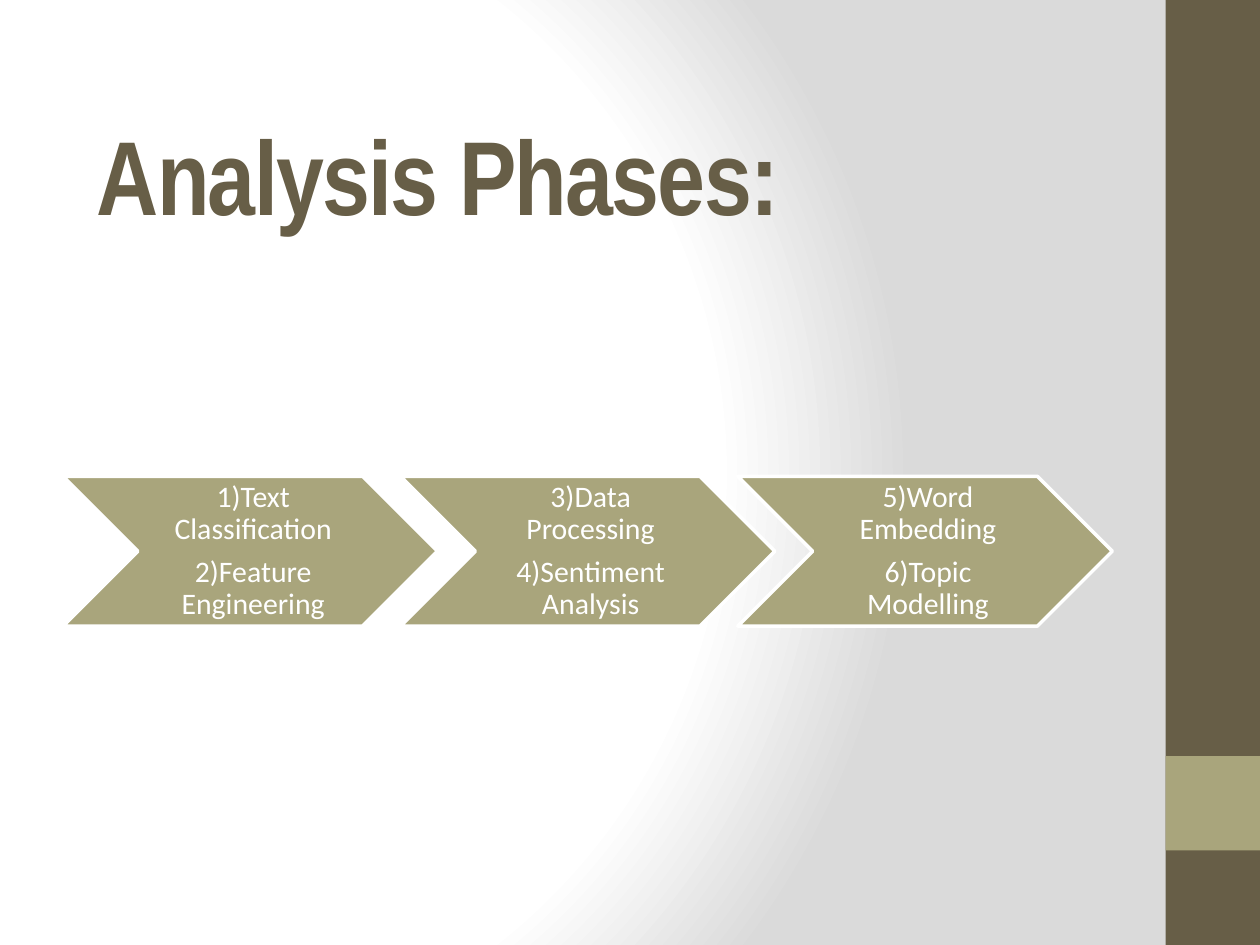
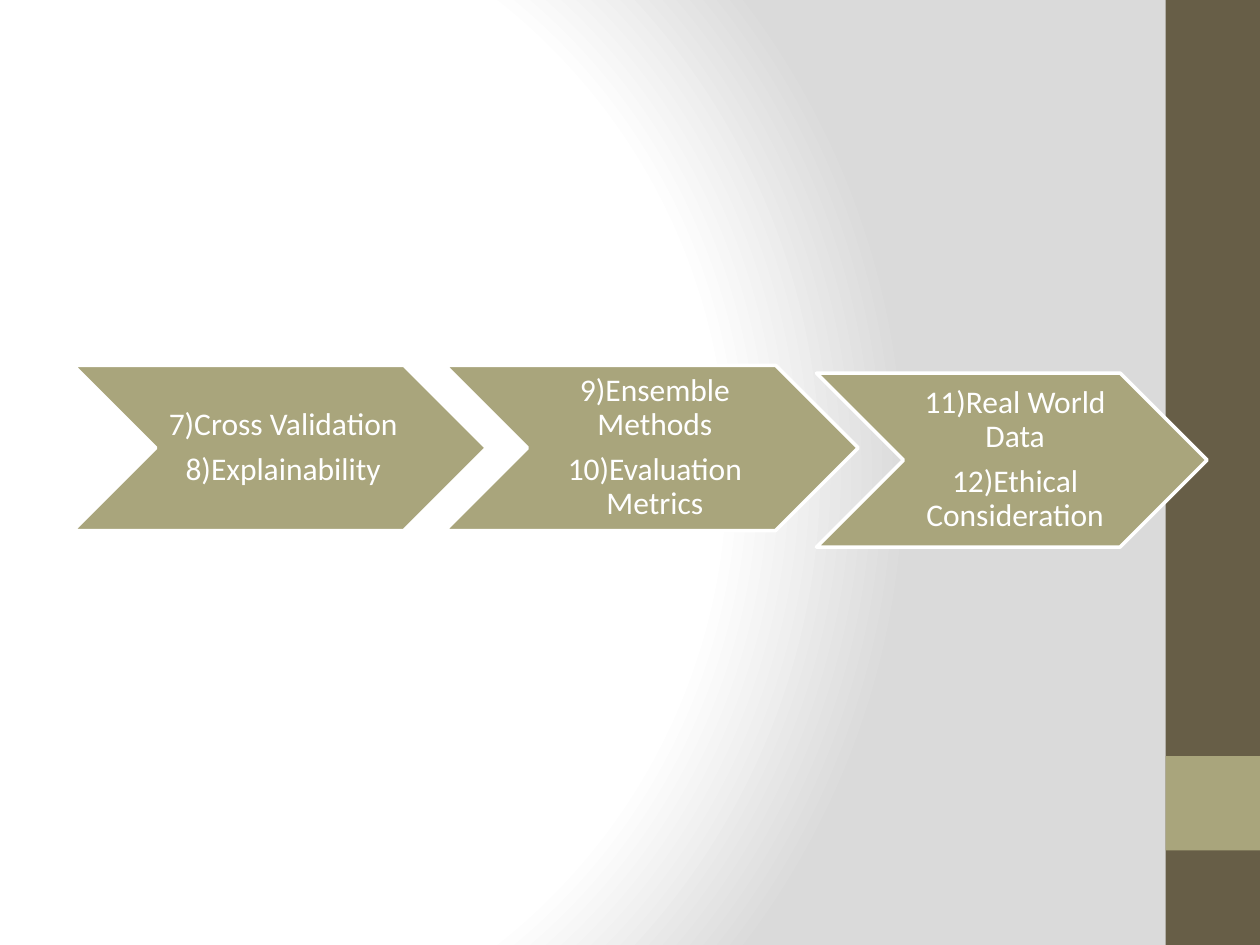
import pptx
import pptx.dml.color
import pptx.enum.shapes
import pptx.enum.text
import pptx.oxml
import pptx.oxml.ns
import pptx.util

Pt = pptx.util.Pt
Shape = pptx.enum.shapes.MSO_SHAPE
Align = pptx.enum.text.PP_ALIGN
Anchor = pptx.enum.text.MSO_ANCHOR

WHITE, GREY, BROWN, OLIVE = "FFFFFF", "DADADA", "675E47", "A9A57C"
WIDTH, HEIGHT = 720, 540
BAND_LEFT, BAND_WIDTH = 666, 54


def color(value):
    return pptx.dml.color.RGBColor.from_string(value)


def apply(target, values):
    for name, value in values.items():
        setattr(target, name, value)


class Deck:
    title_font = {"name": "Arial Narrow", "size": Pt(60), "bold": True}

    def __init__(self):
        self.deck = pptx.Presentation()
        apply(self.deck, {"slide_width": Pt(WIDTH), "slide_height": Pt(HEIGHT)})
        self.background()

    def background(self):
        master = self.deck.slide_master
        master.background.fill.gradient()
        old = master.element.find(".//" + pptx.oxml.ns.qn("a:gradFill"))
        stops = "".join(
            f'<a:gs pos="{percent * 1000}"><a:srgbClr val="{value}"/></a:gs>'
            for percent, value in ((0, WHITE), (75, WHITE), (100, GREY)))
        new = pptx.oxml.parse_xml(
            f'<a:gradFill {pptx.oxml.ns.nsdecls("a")} rotWithShape="1">'
            f'<a:gsLst>{stops}</a:gsLst><a:path path="circle">'
            '<a:fillToRect l="20000" t="50000" r="100000" b="50000"/>'
            '</a:path></a:gradFill>')
        old.getparent().replace(old, new)

    def add_page(self):
        self.page = self.deck.slides.add_slide(self.deck.slide_layouts[6])
        self.shape(Shape.RECTANGLE, BAND_LEFT, 0, BAND_WIDTH, HEIGHT, BROWN)
        self.shape(Shape.RECTANGLE, BAND_LEFT, 432, BAND_WIDTH, BAND_WIDTH, OLIVE)

    def shape(self, kind, left, top, width, height, fill, line=None):
        shape = self.page.shapes.add_shape(
            kind, Pt(left), Pt(top), Pt(width), Pt(height))
        shape.shadow.inherit = False
        shape.fill.solid()
        shape.fill.fore_color.rgb = color(fill)
        if line:
            shape.line.color.rgb = color(line)
            shape.line.width = Pt(2)
        else:
            shape.line.fill.background()
        return shape

    def span(self, para, text, font, value):
        span = para.add_run()
        span.text = text
        apply(span.font, font)
        span.font.color.rgb = color(value)
        return span

    def title(self, text):
        box = self.page.shapes.add_textbox(Pt(48.2), Pt(37.4), Pt(648), Pt(123.8))
        apply(box.text_frame, {"word_wrap": True, "vertical_anchor": Anchor.MIDDLE})
        span = self.span(box.text_frame.paragraphs[0], text, self.title_font, BROWN)
        span.font._element.set("spc", "-100")

    def chevron(self, left, top, width, height, lines, size, inset):
        shape = self.shape(Shape.CHEVRON, left, top, width, height, OLIVE, WHITE)
        frame = shape.text_frame
        apply(frame, {
            "word_wrap": True, "vertical_anchor": Anchor.MIDDLE,
            "margin_left": Pt(3 * inset), "margin_right": Pt(inset),
            "margin_top": Pt(inset), "margin_bottom": Pt(inset)})
        for index, line in enumerate(lines):
            para = frame.add_paragraph() if index else frame.paragraphs[0]
            apply(para, {"alignment": Align.CENTER, "line_spacing": 0.9,
                         "space_after": Pt(0.35 * size)})
            self.span(para, line, {"name": "Calibri", "size": Pt(size)}, WHITE)


deck = Deck()

deck.add_page()
deck.title("Analysis Phases:")
early_phases = [
    ("1)Text Classification", "2)Feature Engineering"),
    ("3)Data Processing", "4)Sentiment Analysis"),
    ("5)Word Embedding", "6)Topic Modelling"),
]
for index, lines in enumerate(early_phases):
    deck.chevron(36 + 192.8 * index, 272.2, 214, 85.6, lines, 17, 1.7)

deck.add_page()
late_phases = [
    (("7)Cross Validation", "8)Explainability"), (208.8, 236.2, 94.4)),
    (("9)Ensemble Methods", "10)Evaluation Metrics"), (208.8, 236.2, 94.4)),
    (("11)Real World Data", "12)Ethical Consideration"), (213.2, 223.2, 99.4)),
]
for index, (lines, (top, width, height)) in enumerate(late_phases):
    deck.chevron(41.8 + 212.4 * index, top, width, height, lines, 18, 1.9)

deck.deck.save("out.pptx")
